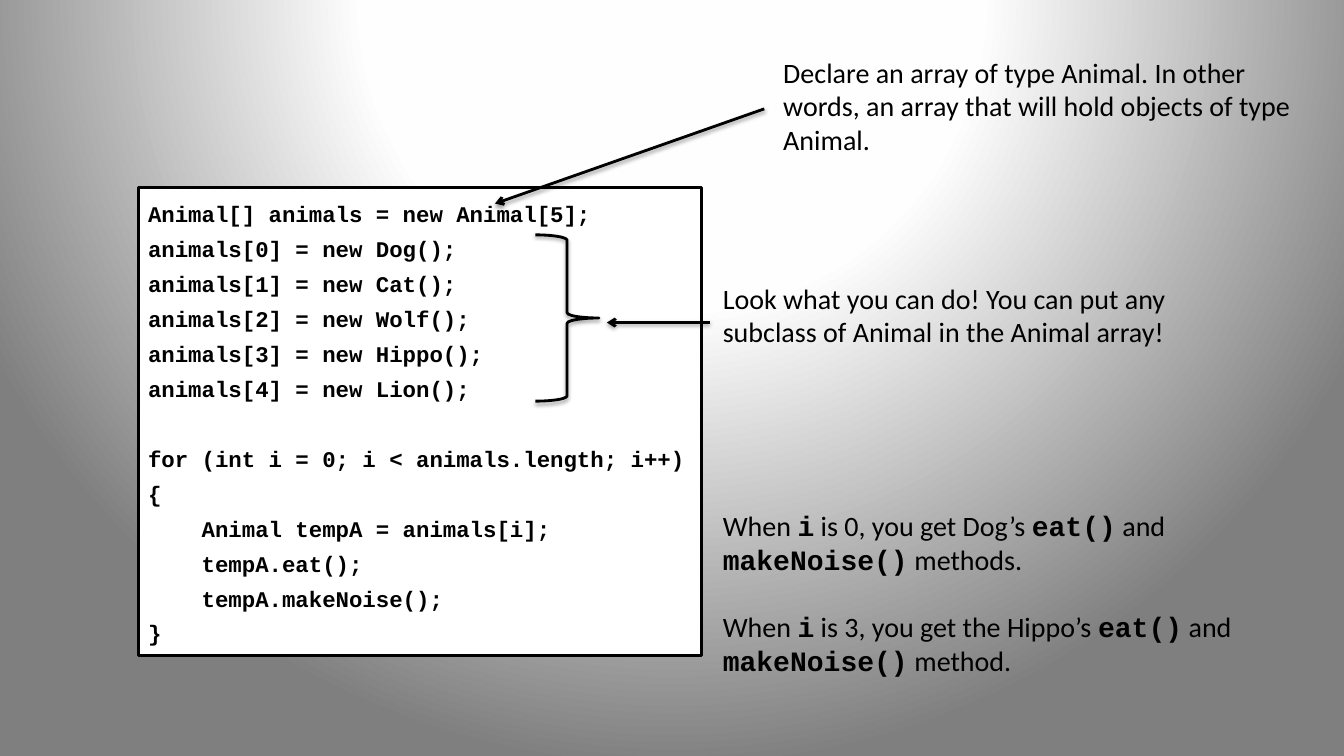
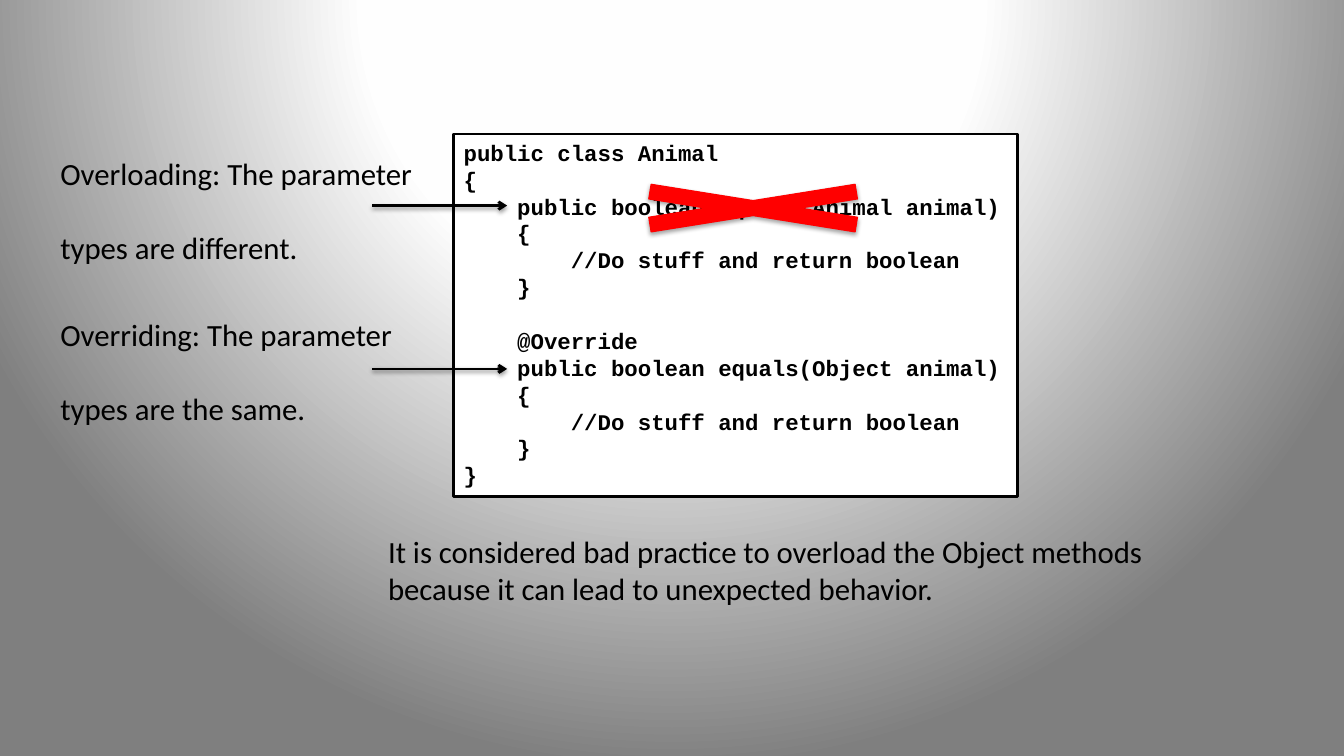
from lxml.etree import SubElement
from pptx import Presentation
from pptx.dml.color import RGBColor
from pptx.enum.shapes import MSO_CONNECTOR, MSO_SHAPE
from pptx.enum.text import MSO_ANCHOR, PP_ALIGN
from pptx.oxml.ns import qn
from pptx.util import Pt

PX = 9144  # EMU per px, 100 px to the inch
BLACK = RGBColor(0x00, 0x00, 0x00)
WHITE = RGBColor(0xFF, 0xFF, 0xFF)
RED = RGBColor(0xFF, 0x00, 0x00)
GRADIENT = [(0, "FFFFFF"), (40, "FEFEFE"), (100, "7F7F7F")]
GRADIENT_FOCUS = {"l": 50, "t": -80, "r": 50, "b": 180}
BODY_FONT, CODE_FONT = "Calibri", "Courier New"
CODE_SIZE = 16
LINE_WIDTH = 2

# Content: boxes are (left, top, width, height), arrows (x1, y1, x2, y2).
# In callouts, text between backticks is set as code; an empty line is a gap.
SLIDES = [
    {
        "code_box": (137, 186, 559, 464),
        "code_spacing": 1.3,
        "code": """Animal[] animals = new Animal[5];
animals[0] = new Dog();
animals[1] = new Cat();
animals[2] = new Wolf();
animals[3] = new Hippo();
animals[4] = new Lion();

for (int i = 0; i < animals.length; i++)
{
    Animal tempA = animals[i];
    tempA.eat();
    tempA.makeNoise();
}""",
        "callout_size": 20,
        "callouts": [
            ((767, 50, 566, 111), ["Declare an array of type Animal. In other",
                                   "words, an array that will hold objects of type",
                                   "Animal."]),
            ((707, 274, 528, 77), ["Look what you can do! You can put any",
                                   "subclass of Animal in the Animal array!"]),
            ((707, 500, 591, 178), ["When `i` is 0, you get Dog’s `eat()` and",
                                    "`makeNoise()` methods.",
                                    "",
                                    "When `i` is 3, you get the Hippo’s `eat()` and",
                                    "`makeNoise()` method."]),
        ],
        "arrows": [(758, 108, 491, 202), (704, 320, 602, 320)],
        "brace": (531, 233, 63, 165),
    },
    {
        "code_box": (450, 133, 559, 360),
        "code_spacing": 1.0,
        "code": """public class Animal
{
    public boolean equals(Animal animal)
    {
        //Do stuff and return boolean
    }

    @Override
    public boolean equals(Object animal)
    {
        //Do stuff and return boolean
    }
}""",
        "callout_size": 22,
        "callouts": [
            ((50, 149, 395, 121), ["Overloading: The parameter", "",
                                   "types are different."]),
            ((50, 308, 395, 121), ["Overriding: The parameter", "",
                                   "types are the same."]),
            ((375, 524, 799, 84), [
                "It is considered bad practice to overload the Object methods",
                "because it can lead to unexpected behavior."]),
        ],
        "arrows": [(369, 204, 503, 204), (369, 366, 503, 366)],
        "cross": (550, 175, 394, 63),
    },
]


def emu(lengths):
    return [n * PX for n in lengths]


def set_background(master):
    """Radial gradient shared by every slide."""
    fill = master.background.fill
    fill.gradient()
    grad = master._element.find(".//" + qn("p:bgPr")).find(qn("a:gradFill"))
    for child in list(grad):
        grad.remove(child)
    stops = SubElement(grad, qn("a:gsLst"))
    for pos, color in GRADIENT:
        stop = SubElement(stops, qn("a:gs"), pos=str(pos * 1000))
        SubElement(stop, qn("a:srgbClr"), val=color)
    circle = SubElement(grad, qn("a:path"), path="circle")
    focus = {side: str(n * 1000) for side, n in GRADIENT_FOCUS.items()}
    SubElement(circle, qn("a:fillToRect"), focus)


def add_shadow(sp, opacity=38, distance=1.6):
    props = sp._element.spPr
    effects = props.find(qn("a:effectLst"))
    if effects is None:
        effects = SubElement(props, qn("a:effectLst"))
    shadow = SubElement(effects, qn("a:outerShdw"), blurRad=str(Pt(3.1)),
                        dist=str(Pt(distance)), dir="5400000", rotWithShape="0")
    color = SubElement(shadow, qn("a:srgbClr"), val=str(BLACK))
    SubElement(color, qn("a:alpha"), val=str(opacity * 1000))


def add_preset(s, kind, box, fill, line, width):
    sp = s.shapes.add_shape(kind, *emu(box))
    sp.shadow.inherit = False
    if fill is None:
        sp.fill.background()
    else:
        sp.fill.solid()
        sp.fill.fore_color.rgb = fill
    sp.line.color.rgb = line
    sp.line.width = Pt(width)
    return sp


def add_run(p, text, size, code):
    r = p.add_run()
    r.text = text
    r.font.name = CODE_FONT if code else BODY_FONT
    r.font.size = Pt(size)
    r.font.bold = code
    r.font.color.rgb = BLACK


def write_lines(tf, lines, size, spacing=1.0, code=False):
    """One paragraph a line; an empty line becomes space before the next."""
    tf.word_wrap = True
    tf.vertical_anchor = MSO_ANCHOR.TOP
    p, gap = None, False
    for line in lines:
        if not line:
            gap = True
            continue
        p = tf.paragraphs[0] if p is None else tf.add_paragraph()
        p.alignment = PP_ALIGN.LEFT
        p.line_spacing = spacing
        if gap:
            p.space_before = Pt(round(size * 1.2 * spacing, 1))
            gap = False
        for i, part in enumerate([line] if code else line.split("`")):
            if part:
                add_run(p, part, size, code or i % 2 == 1)


def add_arrow(s, ends):
    line = s.shapes.add_connector(MSO_CONNECTOR.STRAIGHT, *emu(ends))
    line.line.color.rgb = BLACK
    line.line.width = Pt(LINE_WIDTH)
    SubElement(line.line._get_or_add_ln(), qn("a:tailEnd"), type="arrow")
    add_shadow(line)


def build_slide(prs, content):
    s = prs.slides.add_slide(prs.slide_layouts[6])

    # Code listing
    sp = add_preset(s, MSO_SHAPE.RECTANGLE, content["code_box"],
                    WHITE, BLACK, LINE_WIDTH)
    write_lines(sp.text_frame, content["code"].split("\n"), CODE_SIZE,
                content["code_spacing"], code=True)

    # Callouts and their arrows
    for box, lines in content["callouts"]:
        tf = s.shapes.add_textbox(*emu(box)).text_frame
        write_lines(tf, lines, content["callout_size"])
    for ends in content["arrows"]:
        add_arrow(s, ends)

    # Marks over the code
    if "brace" in content:
        sp = add_preset(s, MSO_SHAPE.RIGHT_BRACE, content["brace"],
                        None, BLACK, LINE_WIDTH)
        add_shadow(sp)
    if "cross" in content:
        sp = add_preset(s, MSO_SHAPE.MATH_MULTIPLY, content["cross"],
                        RED, RED, 0.75)
        add_shadow(sp, opacity=35, distance=1.8)


def main():
    prs = Presentation()
    prs.slide_width, prs.slide_height = emu((1333, 750))
    set_background(prs.slide_master)
    for content in SLIDES:
        build_slide(prs, content)
    prs.save("out.pptx")


if __name__ == "__main__":
    main()
